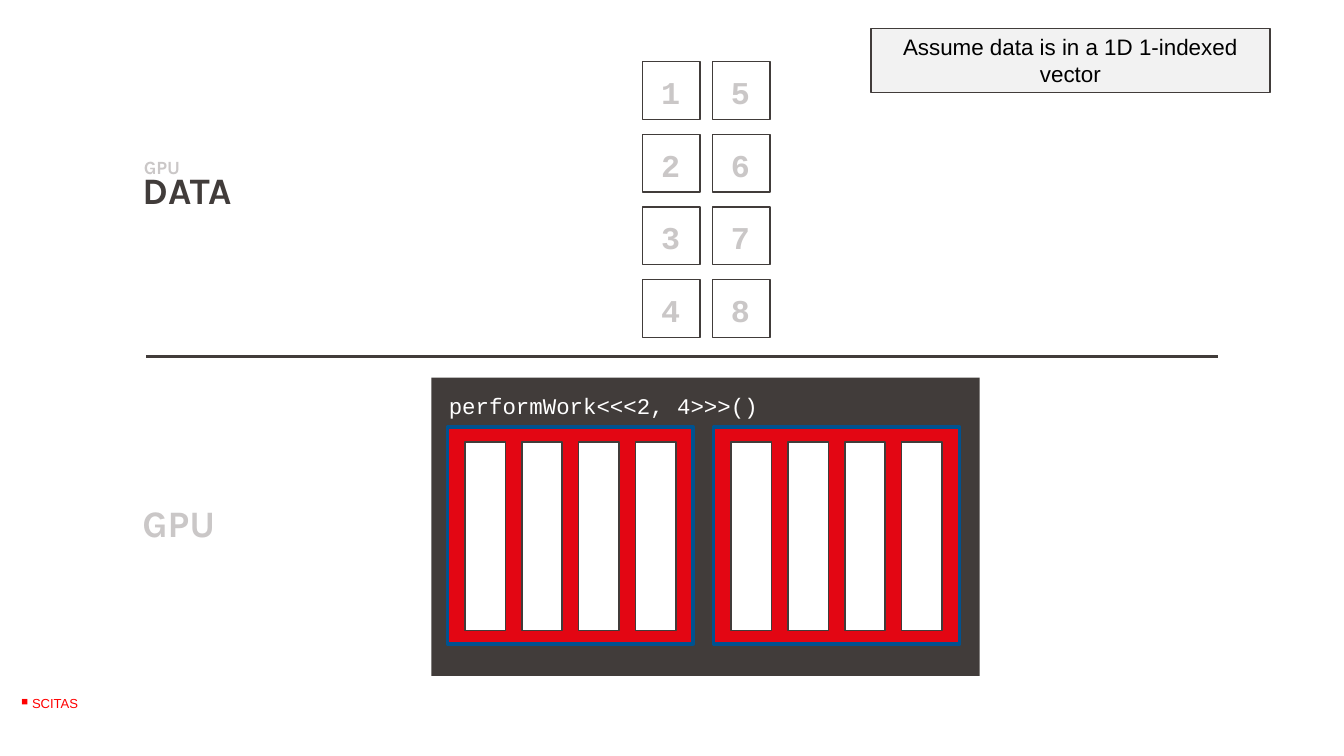
from lxml import etree
from pptx import Presentation
from pptx.dml.color import RGBColor
from pptx.enum.shapes import MSO_CONNECTOR, MSO_SHAPE
from pptx.enum.text import MSO_ANCHOR, PP_ALIGN
from pptx.oxml.ns import qn
from pptx.util import Inches, Pt

RECTANGLE = MSO_SHAPE.RECTANGLE
STRAIGHT = MSO_CONNECTOR.STRAIGHT
TOP, MIDDLE, BOTTOM = MSO_ANCHOR.TOP, MSO_ANCHOR.MIDDLE, MSO_ANCHOR.BOTTOM
LEFT, CENTER = PP_ALIGN.LEFT, PP_ALIGN.CENTER

COLORS = {
    "dark": "413C3A",
    "muted": "CAC7C7",
    "white": "FFFFFF",
    "block": "E30613",
    "block_edge": "00528F",
    "note": "F2F2F2",
    "black": "000000",
    "footer": "FF0000",
}
SANS, CODE, HEADING = "Arial", "Courier New", "Karla"
MARGINS = (0.08, 0.04)

DATA_ROWS, DATA_COLUMNS = 4, 2
CELL_SIZE, CELL_LEFT, CELL_TOP = 0.43, 4.78, 0.46
CELL_STEP_X, CELL_STEP_Y = 0.52, 0.54

BLOCKS, THREADS = 2, 4
BLOCK_LEFT, BLOCK_TOP, BLOCK_STEP = 3.33, 3.18, 1.98
THREAD_INSET_X, THREAD_INSET_Y = 0.13, 0.11
THREAD_STEP = 1.27 / (THREADS - 1)


def rgb(name):
    return RGBColor.from_string(COLORS[name])


def write_text(shape, text, font_name, size, color, bold=False, align=LEFT,
               anchor=MIDDLE, margins=MARGINS, spacing=None, wrap=True):
    frame = shape.text_frame
    frame.word_wrap = wrap
    frame.vertical_anchor = anchor
    frame.margin_left = frame.margin_right = Inches(margins[0])
    frame.margin_top = frame.margin_bottom = Inches(margins[1])
    paragraph = frame.paragraphs[0]
    paragraph.text = text
    paragraph.alignment = align
    if spacing:
        paragraph.line_spacing = spacing
    font = paragraph.font
    font.name, font.size, font.bold = font_name, Pt(size), bold
    font.color.rgb = rgb(color)


def add_rectangle(slide, left, top, width, height, fill, line=None, line_width=0.75):
    shape = slide.shapes.add_shape(
        RECTANGLE, Inches(left), Inches(top), Inches(width), Inches(height))
    shape.shadow.inherit = False
    shape.fill.solid()
    shape.fill.fore_color.rgb = rgb(fill)
    if line:
        shape.line.color.rgb = rgb(line)
        shape.line.width = Pt(line_width)
    else:
        shape.line.fill.background()
    return shape


def add_label(slide, left, top, width, height, text, *style, **options):
    box = slide.shapes.add_textbox(
        Inches(left), Inches(top), Inches(width), Inches(height))
    write_text(box, text, *style, **options)


def add_heading(slide, left, top, width, height, text, size, color):
    add_label(slide, left, top, width, height, text, HEADING, size, color,
              bold=True, anchor=BOTTOM, spacing=0.9)


def add_divider(slide, left, right, y):
    line = slide.shapes.add_connector(
        STRAIGHT, Inches(left), Inches(y), Inches(right), Inches(y))
    line.line.color.rgb = rgb("dark")
    line.line.width = Pt(1.5)
    etree.SubElement(line._element.spPr, qn("a:effectLst"))


def add_data_grid(slide):
    for column in range(DATA_COLUMNS):
        for row in range(DATA_ROWS):
            left = CELL_LEFT + column * CELL_STEP_X
            top = CELL_TOP + row * CELL_STEP_Y
            add_rectangle(slide, left, top, CELL_SIZE, CELL_SIZE, "white", "dark")
            add_label(slide, left + 0.01, top + 0.04, 0.4, 0.37,
                      str(column * DATA_ROWS + row + 1), CODE, 17, "muted",
                      bold=True, align=CENTER)


def add_gpu(slide):
    add_rectangle(slide, 3.21, 2.81, 4.08, 2.22, "dark")
    launch = add_rectangle(slide, 3.26, 2.88, 3.17, 0.28, "dark")
    write_text(launch, "performWork<<<2, 4>>>()", CODE, 12, "white")
    for block in range(BLOCKS):
        left = BLOCK_LEFT + block * BLOCK_STEP
        add_rectangle(slide, left, BLOCK_TOP, 1.83, 1.61, "block", "block_edge", 2)
        for thread in range(THREADS):
            add_rectangle(slide, left + THREAD_INSET_X + thread * THREAD_STEP,
                          BLOCK_TOP + THREAD_INSET_Y, 0.3, 1.4, "white", "dark")


def add_footer(slide):
    add_label(slide, 0.06, 5.07, 0.31, 0.31, "■", SANS, 6, "footer",
              bold=True, margins=(0.1, 0.1), spacing=0.9)
    add_label(slide, 0.14, 4.92, 0.56, 0.62, "SCITAS", SANS, 7, "footer",
              margins=(0.1, 0.05), wrap=False)


def main():
    presentation = Presentation()
    presentation.slide_width = Inches(10)
    presentation.slide_height = presentation.slide_width * 9 // 16
    slide = presentation.slides.add_slide(presentation.slide_layouts[6])

    add_footer(slide)
    add_data_grid(slide)
    add_gpu(slide)
    note = add_rectangle(slide, 6.48, 0.21, 2.97, 0.48, "note", "dark")
    write_text(note, "Assume data is in a 1D 1-indexed vector", SANS, 12,
               "black", align=CENTER, anchor=TOP)
    add_divider(slide, 1.09, 9.06, 2.65)
    add_heading(slide, 0.98, 3.74, 0.76, 0.36, "GPU", 20, "muted")
    add_heading(slide, 0.98, 1.26, 1.22, 0.36, "DATA", 20, "dark")
    add_heading(slide, 0.99, 1.15, 0.95, 0.22, "GPU", 10, "muted")

    presentation.save("out.pptx")


if __name__ == "__main__":
    main()
